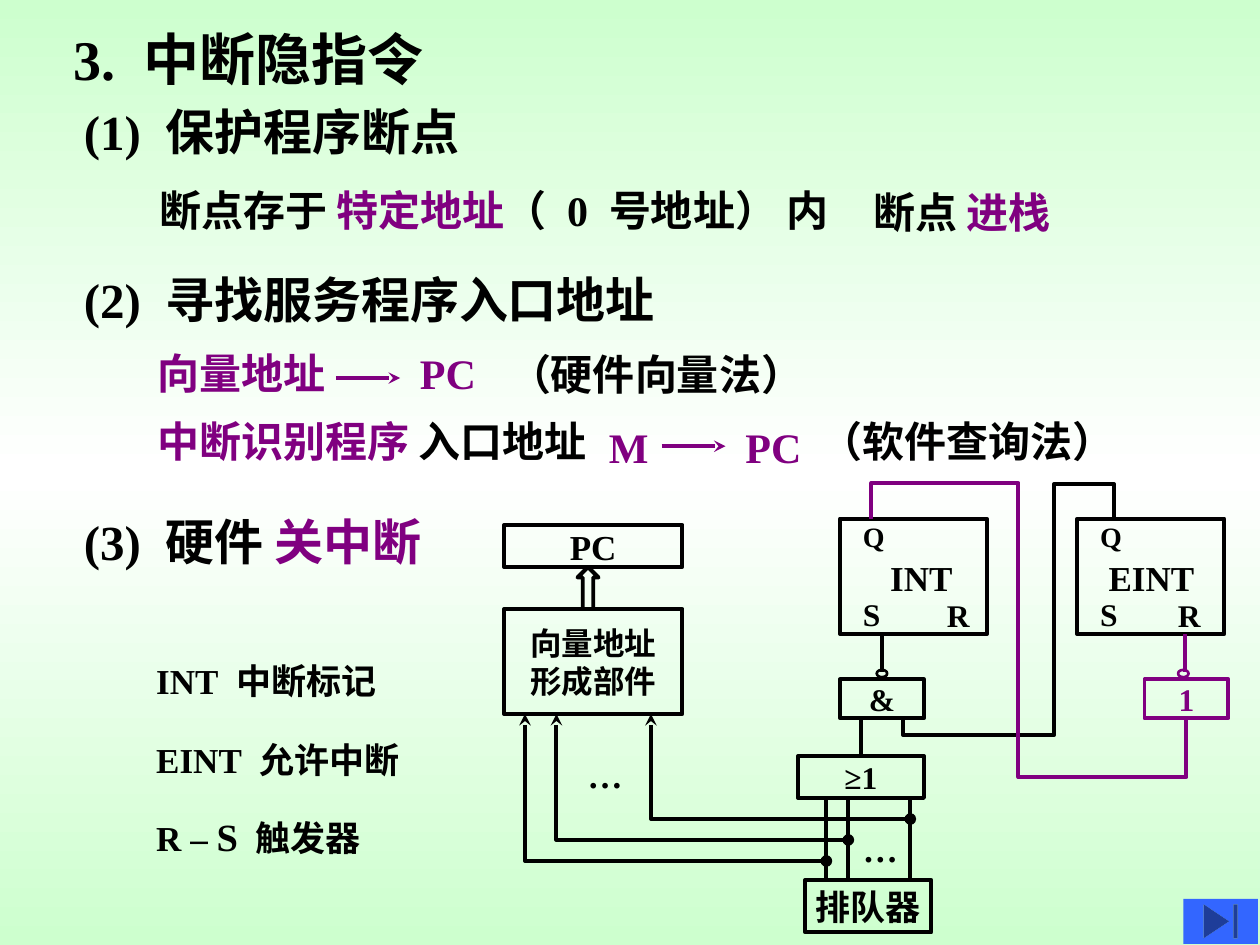
from copy import deepcopy

from lxml.etree import SubElement
from pptx import Presentation
from pptx.dml.color import RGBColor
from pptx.enum.shapes import MSO_CONNECTOR, MSO_SHAPE
from pptx.enum.text import MSO_ANCHOR, MSO_AUTO_SIZE, PP_ALIGN
from pptx.oxml.ns import qn
from pptx.util import Inches, Pt

COLORS = {"ink": "000000", "accent": "800080", "mint": "CDFFCE",
          "white": "FFFFFF", "button": "3366FF"}
FONT = "Times New Roman"
COLUMNS, ROWS = 120, 90
WIDE_GAP = " "


def rgb(name):
    return RGBColor.from_string(COLORS[name])


def write(box, lines, size=20, color="ink", inset=0.1,
          anchor=MSO_ANCHOR.TOP, align=PP_ALIGN.LEFT):
    frame = box.text_frame
    frame.word_wrap = False
    frame.auto_size = MSO_AUTO_SIZE.NONE
    frame.vertical_anchor = anchor
    frame.margin_left = frame.margin_right = Inches(inset)
    frame.margin_top = frame.margin_bottom = Inches(0.05)
    for number, line in enumerate(lines):
        para = frame.add_paragraph() if number else frame.paragraphs[0]
        para.alignment = align
        for part in line:
            text, style = part if isinstance(part, tuple) else (part, {})
            span = para.add_run()
            span.text = text
            font = span.font
            font.name, font.bold = FONT, True
            font.size = Pt(style.get("size", size))
            font.color.rgb = rgb(style.get("color", color))
            if text == WIDE_GAP:
                font._element.set("spc", str(size * 25))


class Board:
    """Draws text, boxes and wires on one slide laid out on a 120 by 90 grid."""

    def __init__(self, deck):
        self.page = deck.slides.add_slide(deck.slide_layouts[5])
        self.shapes = self.page.shapes
        self.cell_width = deck.slide_width / COLUMNS
        self.cell_height = deck.slide_height / ROWS

    def point(self, column, row):
        return round(column * self.cell_width), round(row * self.cell_height)

    def area(self, column, row, width, height):
        return *self.point(column, row), *self.point(width, height)

    def background(self, *colors):
        fill = self.page.background.fill
        fill.gradient()
        fill.gradient_angle = 90
        stop_list = self.page._element.xpath(".//a:gsLst")[0]
        stop_list.append(deepcopy(stop_list[0]))
        for number, (stop, color) in enumerate(zip(fill.gradient_stops, colors)):
            stop.position = number / (len(colors) - 1)
            stop.color.rgb = rgb(color)

    def title(self, area, *spans, size):
        box = self.shapes.title
        box.left, box.top, box.width, box.height = self.area(*area)
        write(box, [spans], size=size, inset=0, anchor=MSO_ANCHOR.MIDDLE)

    def label(self, area, *spans, **style):
        write(self.shapes.add_textbox(*self.area(*area)), [spans], **style)

    def heading(self, area, *spans, size=28, color="ink"):
        self.label(area, *spans, size=size, color=color, inset=0,
                   anchor=MSO_ANCHOR.MIDDLE)

    def outline(self, shape, color, weight):
        shape.line.color.rgb = rgb(color)
        shape.line.width = Pt(weight)

    def box(self, area, *lines, kind=MSO_SHAPE.RECTANGLE, size=18,
            color="ink", weight=2.25):
        box = self.shapes.add_shape(kind, *self.area(*area))
        box.shadow.inherit = False
        box.fill.background()
        self.outline(box, color, weight)
        write(box, [[line] for line in lines], size=size, color=color,
              anchor=MSO_ANCHOR.MIDDLE, align=PP_ALIGN.CENTER)

    def wire(self, *points, color="ink", head=None, tail=None):
        spots = [self.point(*point) for point in points]
        if len(spots) == 2:
            wire = self.shapes.add_connector(MSO_CONNECTOR.STRAIGHT,
                                             *spots[0], *spots[1])
            SubElement(wire._element.spPr, qn("a:effectLst"))
        else:
            builder = self.shapes.build_freeform(*spots[0])
            builder.add_line_segments(spots[1:], close=False)
            wire = builder.convert_to_shape()
            wire.shadow.inherit = False
            wire.fill.background()
        self.outline(wire, color, 2.25)
        for end, kind in (("a:headEnd", head), ("a:tailEnd", tail)):
            if kind:
                SubElement(wire.line._get_or_add_ln(), qn(end)).set("type", kind)

    def flip_flop(self, column, name, name_offset, reset_offset):
        row = 49.4
        self.box((column, row, 14, 11))
        self.label((column + name_offset, row + 3, 10.5, 5.3), name)
        for pin, across, down, size in (("Q", 1, -0.5, 16), ("S", 1, 6.7, 18),
                                        ("R", reset_offset, 6.8, 18)):
            self.label((column + across, row + down, 4.5, 4.8), pin, size=size)

    def end_button(self, area):
        button = self.shapes.add_shape(MSO_SHAPE.ACTION_BUTTON_END,
                                       *self.area(*area))
        button.shadow.inherit = False
        button.fill.solid()
        button.fill.fore_color.rgb = rgb("button")
        button.line.fill.background()


def draw_text(board):
    accent = {"color": "accent"}
    board.title((7, 2, 51, 7), "3.", WIDE_GAP, "中断隐指令", size=32)
    board.heading((8, 9, 79, 7), "(1)", WIDE_GAP, "保护程序断点")
    board.heading((8, 25, 79, 7), "(2)", WIDE_GAP, "寻找服务程序入口地址")
    board.heading((8, 47, 35, 9), "(3)", WIDE_GAP, "硬件 ", ("关中断", accent))

    board.label((14, 17, 70, 6), "断点存于 ", ("特定地址", accent), "（", WIDE_GAP,
                "0", WIDE_GAP, "号地址） 内", size=24)
    board.label((82, 17.2, 28, 6), "断点 ", ("进栈", accent), size=24)

    for area, spans in (((15, 32, 17, 7), ["向量地址"]),
                        ((40, 32, 6, 7), ["PC"]),
                        ((15, 38.5, 42, 7),
                         ["中断识别程序 ", ("入口地址", {"color": "ink"})]),
                        ((58, 39, 6, 7), ["M"]),
                        ((71, 39, 6, 7), ["PC"])):
        board.heading(area, *spans, size=24, color="accent")
    for column, row in ((32, 36), (63, 42.5)):
        board.wire((column, row), (column + 6.1, row), color="accent", tail="stealth")
    board.label((47.3, 32.6, 42, 6), "（硬件向量法）", size=24)
    board.label((77, 39, 42, 6), "（软件查询法）", size=24)

    for row, spans in ((62.2, ["INT", WIDE_GAP, "中断标记"]),
                       (69.7, ["EINT", WIDE_GAP, "允许中断"]),
                       (76.8, ["R – ", ("S", {"size": 22}), WIDE_GAP, "触发器"])):
        board.label((13.7, row, 25, 5.5), *spans)


def draw_circuit(board):
    board.box((48, 50, 17, 4), "PC", size=20)
    board.box((48, 58, 17, 10), "向量地址", "形成部件")
    board.box((55, 54, 2, 4), kind=MSO_SHAPE.UP_ARROW)
    board.flip_flop(80, "INT", 3.6, 9)
    board.flip_flop(102.6, "EINT", 1.8, 8.4)

    for column, text, color in ((80, "&", "ink"), (109, "1", "accent")):
        board.box((column, 64.7, 8, 3.7), text, color=color)
    for column, color in ((83.5, "ink"), (112.2, "accent")):
        board.box((column, 63.8, 1, 0.7), kind=MSO_SHAPE.OVAL, color=color, weight=1.5)
    board.box((76, 72, 12, 4), "≥1")
    board.box((76.7, 83.8, 12, 5), "排队器", size=20)

    for column, row, end in ((62, 78, 86.7), (53, 80, 80.8), (50, 82, 78.7)):
        board.wire((column, 68), (column, row), (end, row), head="stealth", tail="oval")
        board.wire((end, 76), (end, 83.8))
    for column, row in ((54.8, 71.2), (81, 78.2)):
        board.label((column, row, 5.8, 5.3), "…")

    board.wire((84, 60.4), (84, 64))
    board.wire((112.9, 60.4), (112.9, 64), color="accent")
    board.wire((82, 68.4), (82, 72))
    board.wire((86, 68.4), (86, 70), (100.4, 70), (100.4, 46.1),
               (106.1, 46.1), (106.1, 49.4))
    board.wire((113, 68.4), (113, 74), (97, 74), (97, 46), (83, 46), (83, 49.4),
               color="accent")


def main():
    deck = Presentation()
    deck.slide_width, deck.slide_height = Inches(10), Inches(7.5)
    board = Board(deck)
    board.background("mint", "white", "mint")
    draw_text(board)
    draw_circuit(board)
    board.end_button((112.7, 85.6, 7.1, 4.3))
    deck.save("out.pptx")


if __name__ == "__main__":
    main()
